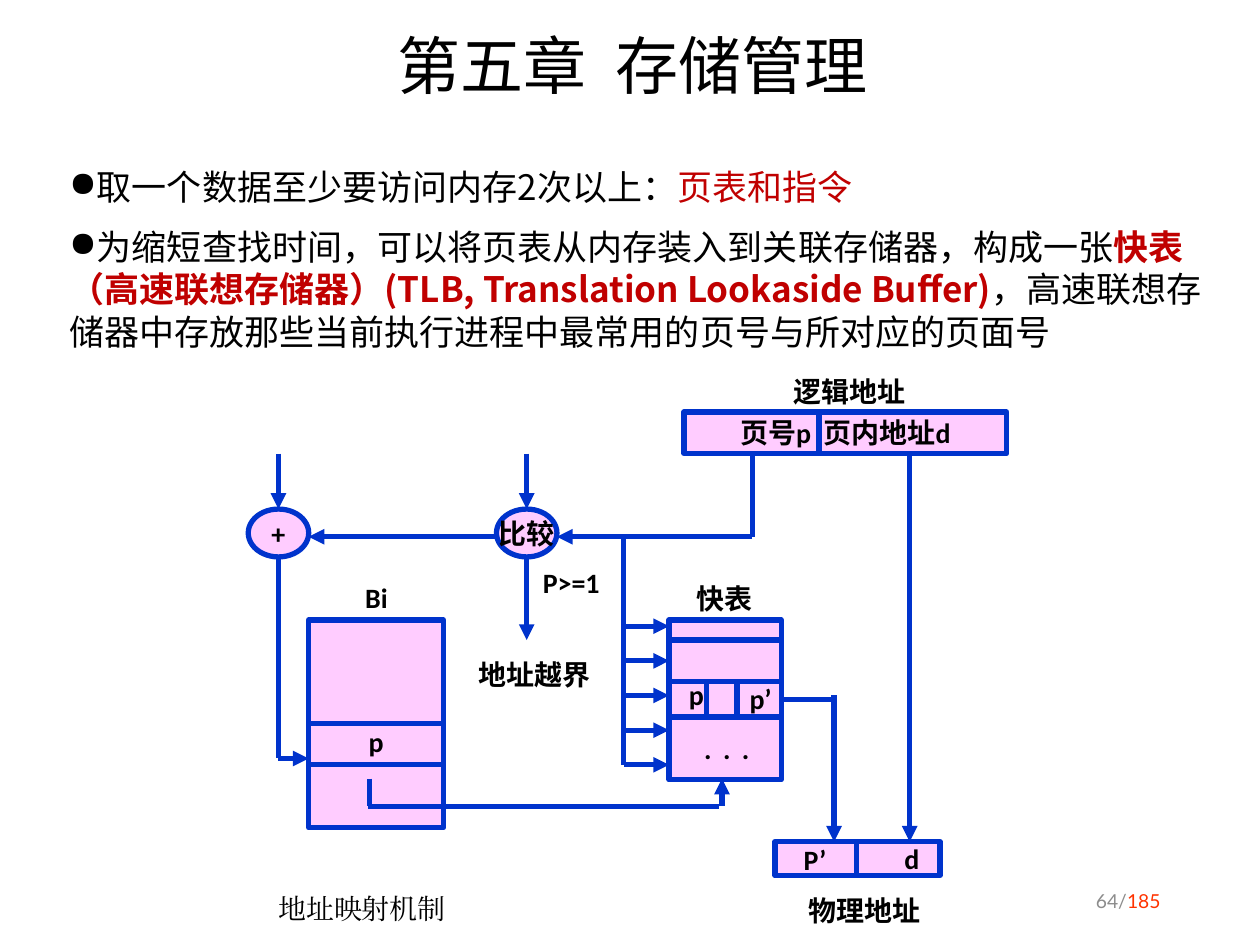
"""Build a slide on address mapping with a translation lookaside buffer."""
import pptx
import pptx.dml.color
import pptx.enum.shapes
import pptx.enum.text
import pptx.oxml
import pptx.oxml.ns
import pptx.util
from pptx.util import Inches

BLACK = pptx.dml.color.RGBColor(0x00, 0x00, 0x00)
BLUE = pptx.dml.color.RGBColor(0x00, 0x33, 0xCC)
PINK = pptx.dml.color.RGBColor(0xFF, 0xCC, 0xFF)
RED = pptx.dml.color.RGBColor(0xC0, 0x00, 0x00)
GRAY = pptx.dml.color.RGBColor(0x8C, 0x8C, 0x8C)
ORANGE = pptx.dml.color.RGBColor(0xFF, 0x33, 0x00)
ALIGN = pptx.enum.text.PP_ALIGN
MIDDLE = pptx.enum.text.MSO_ANCHOR.MIDDLE
SHAPE = pptx.enum.shapes.MSO_SHAPE
HEADING_FONT = "Noto Sans CJK SC"


class Diagram:
    """Hold the slide and the style of its text, boxes and lines."""

    font = "Calibri"
    size = 16
    line_width = pptx.util.Pt(3)

    def __init__(self, slide):
        self.slide = slide

    def add_element(self, parent, tag, **attributes):
        element = pptx.oxml.parse_xml(f"<a:{tag} {pptx.oxml.ns.nsdecls('a')}/>")
        for name, value in attributes.items():
            element.set(name, value)
        parent.append(element)

    def run(self, paragraph, text, color=BLACK, bold=False, font=None, size=None):
        run = paragraph.add_run()
        run.text = text
        run.font.name = font or self.font
        run.font.size = pptx.util.Pt(size or self.size)
        run.font.bold = bold
        run.font.color.rgb = color
        self.add_element(run.font._element, "ea", typeface=font or self.font)

    def text_box(self, left, top, width, height, wrap=True):
        box = self.slide.shapes.add_textbox(
            Inches(left), Inches(top), Inches(width), Inches(height))
        box.text_frame.word_wrap = wrap
        return box.text_frame

    def label(self, text, left, top, width):
        frame = self.text_box(left, top, width, 0.37, wrap=False)
        self.run(frame.paragraphs[0], text, bold=True)

    def box(self, left, top, width, height, text="", kind=SHAPE.RECTANGLE):
        shape = self.slide.shapes.add_shape(
            kind, Inches(left), Inches(top), Inches(width), Inches(height))
        shape.shadow.inherit = False
        shape.fill.solid()
        shape.fill.fore_color.rgb = PINK
        shape.line.color.rgb = BLUE
        shape.line.width = self.line_width
        if text:
            frame = shape.text_frame
            frame.word_wrap = False
            frame.vertical_anchor = MIDDLE
            frame.paragraphs[0].alignment = ALIGN.CENTER
            self.run(frame.paragraphs[0], text, bold=True)
        return shape

    def line(self, x1, y1, x2, y2, arrow=False):
        connector = self.slide.shapes.add_connector(
            pptx.enum.shapes.MSO_CONNECTOR.STRAIGHT,
            Inches(x1), Inches(y1), Inches(x2), Inches(y2))
        connector.line.color.rgb = BLUE
        connector.line.width = self.line_width
        if arrow:
            self.add_element(connector.line._get_or_add_ln(), "tailEnd", type="triangle")
        self.add_element(connector._element.spPr, "effectLst")

    def arrow(self, x1, y1, x2, y2):
        self.line(x1, y1, x2, y2, arrow=True)

    def bullet(self, paragraph, parts):
        paragraph.line_spacing = pptx.util.Pt(24.3)
        properties = paragraph._element.get_or_add_pPr()
        properties.set("marL", "0")
        properties.set("indent", "0")
        self.add_element(properties, "buChar", char="●")
        for text, color, bold in parts:
            self.run(paragraph, text, color, bold, HEADING_FONT, 20)


def add_texts(diagram):
    title = diagram.text_box(0.71, 0.17, 8.62, 0.76)
    title.vertical_anchor = MIDDLE
    title.paragraphs[0].alignment = ALIGN.CENTER
    title.paragraphs[0].line_spacing = 0.9
    diagram.run(title.paragraphs[0], "第五章  存储管理", font=HEADING_FONT, size=36)

    body = diagram.text_box(0.45, 1.26, 9.36, 1.86)
    diagram.bullet(body.paragraphs[0], [
        ("取一个数据至少要访问内存2次以上：", BLACK, False),
        ("页表和指令", RED, False)])
    second = body.add_paragraph()
    second.space_before = pptx.util.Pt(10)
    diagram.bullet(second, [
        ("为缩短查找时间，可以将页表从内存装入到关联存储器，构成一张", BLACK, False),
        ("快表（高速联想存储器）(TLB, Translation Lookaside Buffer)", RED, True),
        ("，高速联想存储器中存放那些当前执行进程中最常用的页号与所对应的页面号",
         BLACK, False)])

    caption = diagram.text_box(2.11, 7.03, 2.39, 0.44)
    diagram.run(caption.paragraphs[0], "地址映射机制", font="Times New Roman")

    number = diagram.text_box(7.06, 6.95, 2.25, 0.4)
    number.vertical_anchor = MIDDLE
    number.paragraphs[0].alignment = ALIGN.RIGHT
    diagram.run(number.paragraphs[0], "64/", GRAY, font="Lato", size=11)
    diagram.run(number.paragraphs[0], "185", ORANGE, font="Lato", size=11)


def add_addresses(diagram):
    diagram.box(6.15, 6.68, 1.31, 0.27)
    diagram.line(6.8, 6.68, 6.8, 6.95)
    diagram.box(5.43, 3.27, 2.56, 0.33, "页号p  页内地址d")
    diagram.line(6.5, 3.27, 6.5, 3.6)
    diagram.arrow(7.22, 3.6, 7.22, 6.68)


def add_page_table(diagram):
    table = diagram.box(2.45, 4.92, 1.07, 1.65, "p")
    table.text_frame.margin_top = Inches(0.32)
    for y in (5.74, 6.07):
        diagram.line(2.45, y, 3.52, y)
    diagram.line(2.93, 6.18, 2.93, 6.4)
    diagram.line(2.92, 6.4, 5.71, 6.4)
    diagram.arrow(5.73, 6.4, 5.73, 6.18)


def add_lookaside_buffer(diagram):
    diagram.box(5.31, 4.92, 0.89, 1.27)
    for y in (5.08, 5.41, 5.69):
        diagram.line(5.31, y, 6.21, y)
    for x in (5.61, 5.85):
        diagram.line(x, 5.41, x, 5.69)
    for index in range(3):
        diagram.label(".", 5.49 + 0.15 * index, 5.76, 0.26)
    diagram.line(4.95, 4.26, 4.95, 6.07)
    for index in range(5):
        y = 4.97 + 0.275 * index
        diagram.arrow(4.95, y, 5.31, y)
    diagram.line(6.2, 5.55, 6.62, 5.55)
    diagram.arrow(6.62, 5.52, 6.62, 6.68)


def add_operators(diagram):
    for left, text in ((1.97, "+"), (3.94, "比较")):
        diagram.box(left, 4.04, 0.48, 0.38, text, SHAPE.OVAL)
        diagram.arrow(left + 0.24, 3.6, left + 0.24, 4.04)
    diagram.line(2.21, 4.42, 2.21, 6.02)
    diagram.arrow(2.21, 6.02, 2.45, 6.02)
    diagram.arrow(4.18, 4.42, 4.18, 5.08)
    diagram.arrow(3.94, 4.26, 2.45, 4.26)
    diagram.line(5.97, 3.6, 5.97, 4.26)
    diagram.arrow(5.97, 4.26, 4.42, 4.26)


def main():
    presentation = pptx.Presentation()
    presentation.slide_width = Inches(10)
    presentation.slide_height = Inches(7.5)
    slide = presentation.slides.add_slide(presentation.slide_layouts[6])
    diagram = Diagram(slide)
    add_texts(diagram)
    add_addresses(diagram)
    add_page_table(diagram)
    add_lookaside_buffer(diagram)
    add_operators(diagram)
    for text, left, top, width in (
            ("逻辑地址", 6.2, 2.92, 1.1), ("物理地址", 6.32, 7.04, 1.1),
            ("地址越界", 3.7, 5.17, 1.1), ("快表", 5.43, 4.57, 0.65),
            ("Bi", 2.8, 4.56, 0.41), ("P>=1", 4.21, 4.44, 0.7),
            ("p", 5.37, 5.33, 0.3), ("p’", 5.85, 5.36, 0.41),
            ("P’", 6.28, 6.64, 0.41), ("d", 7.08, 6.63, 0.32)):
        diagram.label(text, left, top, width)
    presentation.save("out.pptx")


if __name__ == "__main__":
    main()
